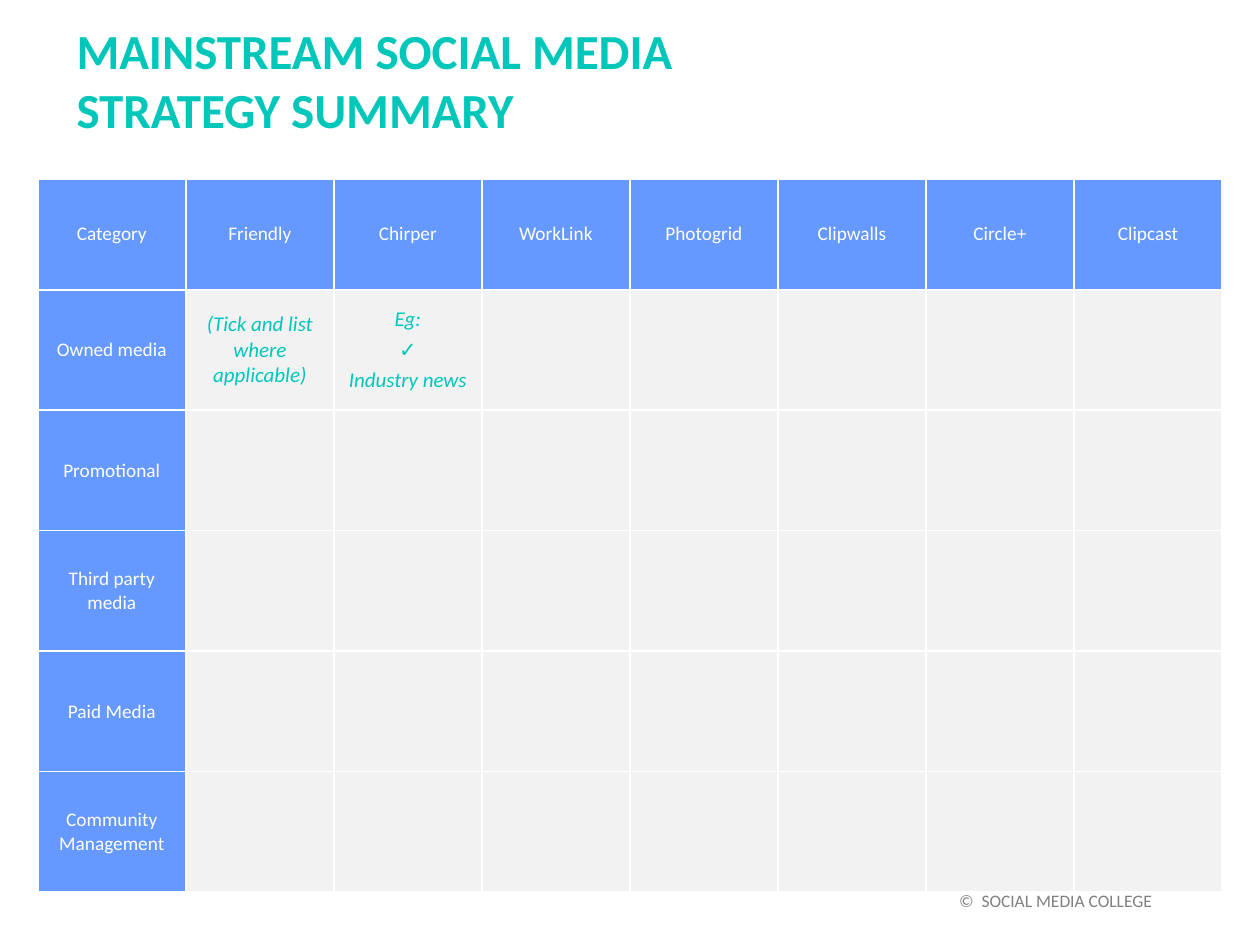
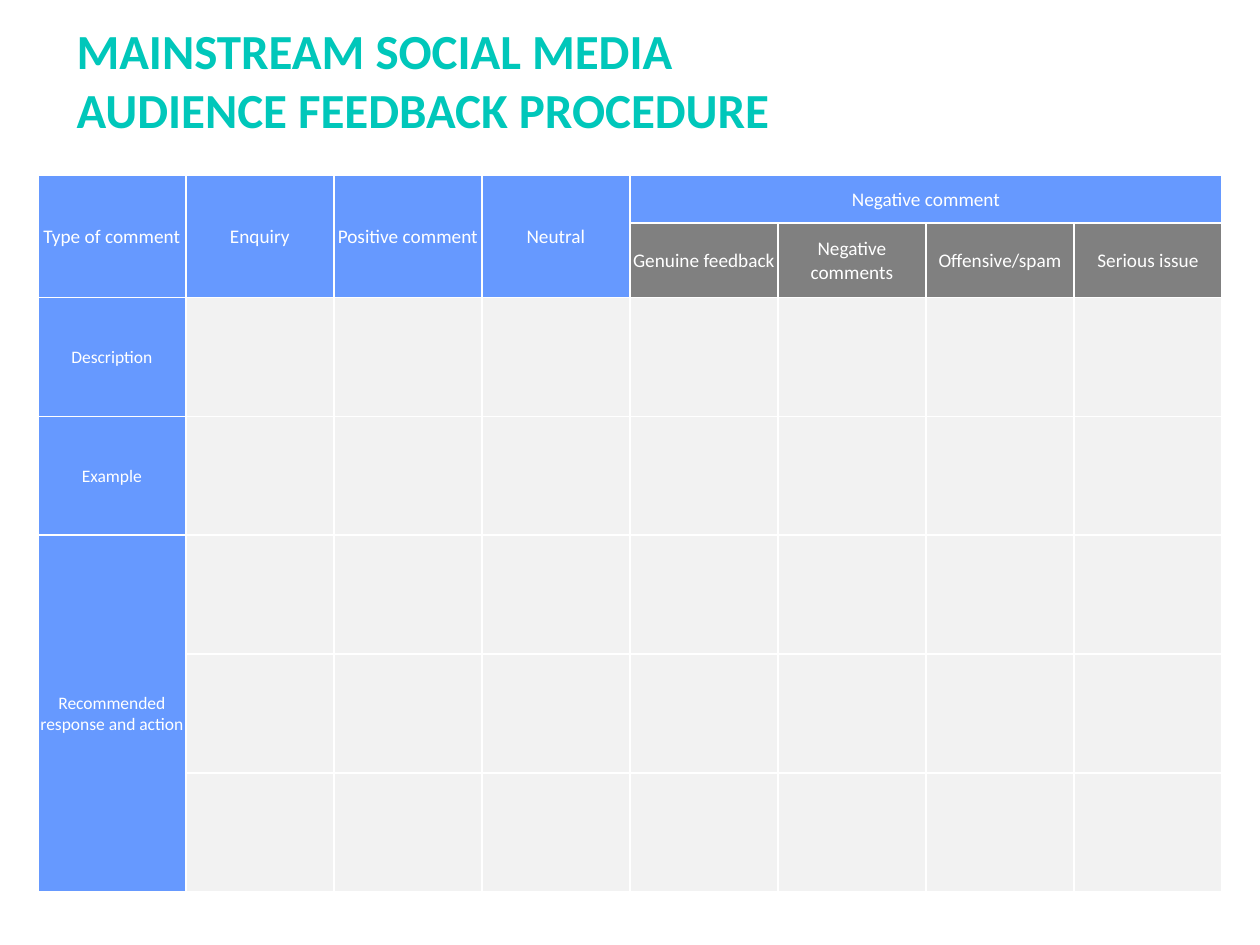
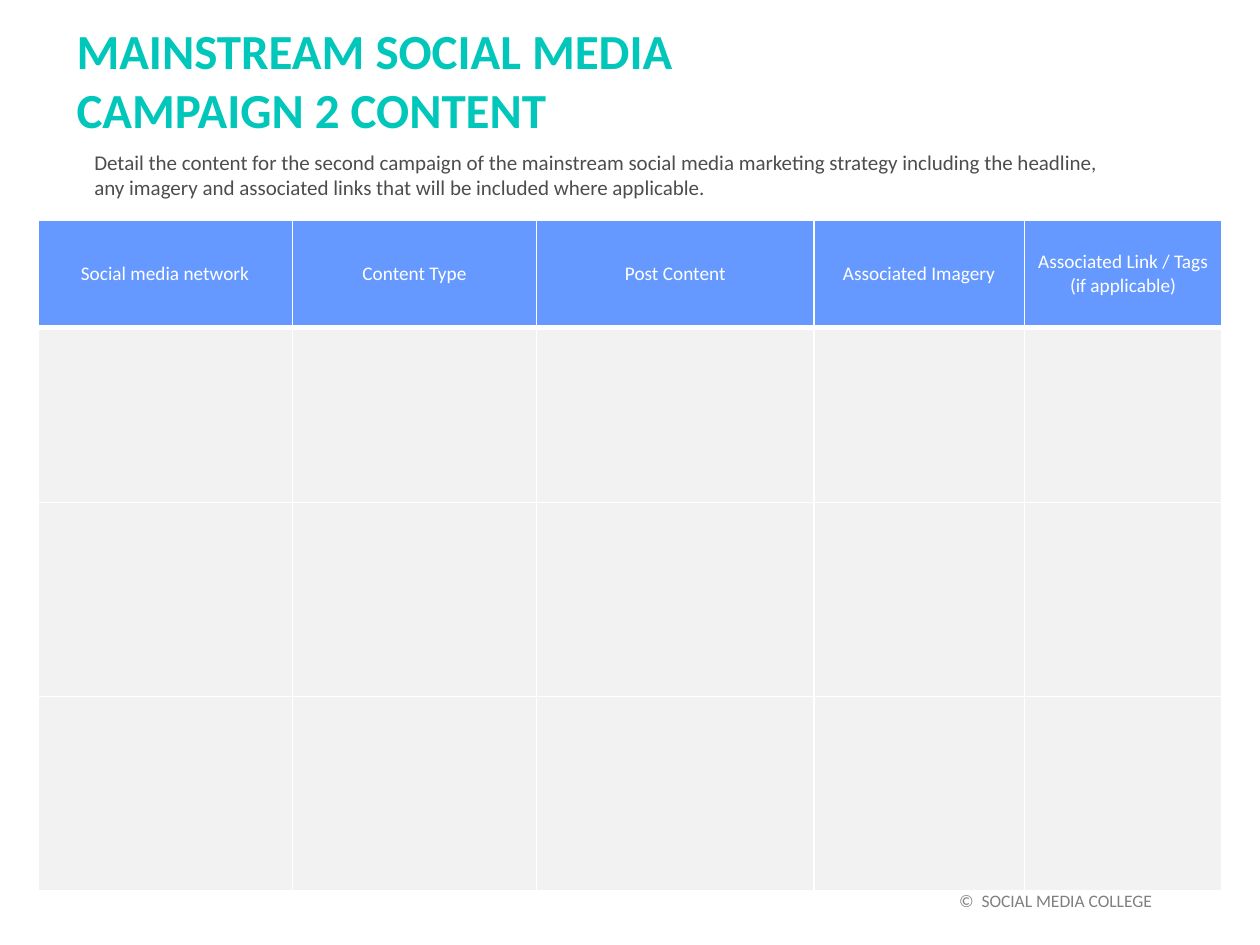
from lxml import etree
from pptx import Presentation
from pptx.dml.color import RGBColor
from pptx.enum.text import MSO_ANCHOR, MSO_AUTO_SIZE, PP_ALIGN
from pptx.oxml.ns import qn
from pptx.util import Inches, Pt

LEFT, CENTER, RIGHT = PP_ALIGN.LEFT, PP_ALIGN.CENTER, PP_ALIGN.RIGHT
TOP, MIDDLE = MSO_ANCHOR.TOP, MSO_ANCHOR.MIDDLE
GROW, FIXED = MSO_AUTO_SIZE.SHAPE_TO_FIT_TEXT, MSO_AUTO_SIZE.NONE

TEAL, BLUE, GREY = "00C7BA", "6699FF", "808080"
PALE, WHITE, INK = "F2F2F2", "FFFFFF", "4C4D4F"

TITLE_TOP_LINE = "MAINSTREAM SOCIAL MEDIA"
COPYRIGHT = "©  SOCIAL MEDIA COLLEGE"
TABLE_LEFT, TABLE_WIDTH = 0.3, 9.4
DEFAULT_MARGINS = (0.1, 0.05, 0.1, 0.05)
NO_MARGINS = (0, 0, 0, 0)
TIGHT_MARGINS = (0.01, 0.01, 0.01, 0)

STRATEGY = {
    "title": "STRATEGY SUMMARY",
    "title_width": 7.86,
    "footer": True,
    "top": 1.42,
    "columns": [TABLE_WIDTH / 8] * 8,
    "rows": [0.88] + [4.78 / 5] * 5,
    "headers": [["Category", "Friendly", "Chirper", "WorkLink",
                 "Photogrid", "Clipwalls", "Circle+", "Clipcast"]],
    "labels": ["Owned media", "Promotional", "Third party media",
               "Paid Media", "Community Management"],
    "examples": {
        (1, 1): ["(Tick and list where applicable)"],
        (1, 2): ["Eg:", ("✓", {"font": "Arial", "italic": False}), "Industry news"],
    },
    "cell_margins": {(0, 2): NO_MARGINS, (1, 2): NO_MARGINS},
}

FEEDBACK = {
    "title": "AUDIENCE FEEDBACK PROCEDURE",
    "title_width": 8.83,
    "top": 1.39,
    "columns": [TABLE_WIDTH / 8] * 8,
    "rows": [0.38, 0.59] + [4.72 / 5] * 5,
    "headers": [
        ["Type of comment", "Enquiry", "Positive comment", "Neutral",
         "Negative comment", "", "", ""],
        ["", "", "", "", "Genuine feedback", "Negative comments",
         "Offensive/spam", "Serious issue"],
    ],
    "labels": ["Description", "Example", "Recommended response and action", "", ""],
    "label_size": 10,
    "margins": TIGHT_MARGINS,
    "merges": [((0, column), (1, column)) for column in range(4)]
              + [((0, 4), (0, 7)), ((4, 0), (6, 0))],
}

CAMPAIGN = {
    "title": "CAMPAIGN 2 CONTENT",
    "title_width": 8.06,
    "footer": True,
    "intro": "Detail the content for the second campaign of the mainstream social media "
             "marketing strategy including the headline, any imagery and associated links "
             "that will be included where applicable.",
    "top": 1.75,
    "columns": [2.02, 1.94, 2.2, 1.67, 1.57],
    "rows": [0.85, 1.39, 1.54, 1.54],
    "headers": [["Social media network", "Content Type", "Post Content",
                 "Associated Imagery", "Associated Link / Tags (if applicable)"]],
    "header_rule": 3,
}


def rgb(value):
    return RGBColor.from_string(value)


def write(frame, lines, size=11, color=WHITE, font="Calibri", bold=False,
          italic=False, align=LEFT, gap=0):
    for index, line in enumerate(lines):
        words, changes = (line, {}) if isinstance(line, str) else line
        paragraph = frame.paragraphs[0] if index == 0 else frame.add_paragraph()
        paragraph.alignment = align
        if index and gap:
            paragraph.space_before = Pt(gap)
        run = paragraph.add_run()
        run.text = words
        run.font.size = Pt(size)
        run.font.name = changes.get("font", font)
        run.font.bold = bold
        run.font.italic = changes.get("italic", italic)
        run.font.color.rgb = rgb(color)


def add_text(slide, box, lines, anchor=MIDDLE, fit=FIXED, **style):
    frame = slide.shapes.add_textbox(*map(Inches, box)).text_frame
    frame.word_wrap = True
    frame.auto_size = fit
    frame.vertical_anchor = anchor
    write(frame, lines, **style)


def set_borders(cell, bottom):
    properties = cell._tc.get_or_add_tcPr()
    for side, width in (("L", 1), ("R", 1), ("T", 1), ("B", bottom)):
        line = etree.SubElement(properties, qn(f"a:ln{side}"), w=str(Pt(width)))
        fill = etree.SubElement(line, qn("a:solidFill"))
        etree.SubElement(fill, qn("a:srgbClr"), val=WHITE)


def cell_content(content, row, column):
    headers, labels = content["headers"], content.get("labels")
    if row < len(headers):
        fill = BLUE if row == 0 or column < 4 else GREY
        return fill, [headers[row][column]], {}
    if labels and column == 0:
        return BLUE, [labels[row - len(headers)]], {"size": content.get("label_size", 11)}
    example = content.get("examples", {}).get((row, column), [])
    return PALE, example, {"size": 12, "color": TEAL, "italic": True, "gap": 3.4}


def add_grid(slide, content):
    rows, columns = content["rows"], content["columns"]
    table = slide.shapes.add_table(
        len(rows), len(columns), Inches(TABLE_LEFT), Inches(content["top"]),
        Inches(TABLE_WIDTH), Inches(sum(rows))).table
    table.first_row = False
    table.horz_banding = False
    for column, width in zip(table.columns, columns):
        column.width = Inches(width)
    for row, height in zip(table.rows, rows):
        row.height = Inches(height)
    for first, last in content.get("merges", []):
        table.cell(*first).merge(table.cell(*last))
    for row in range(len(rows)):
        for column in range(len(columns)):
            cell = table.cell(row, column)
            fill, lines, style = cell_content(content, row, column)
            set_borders(cell, content.get("header_rule", 1) if row == 0 else 1)
            cell.fill.solid()
            cell.fill.fore_color.rgb = rgb(fill)
            cell.vertical_anchor = MIDDLE
            margins = content.get("cell_margins", {}).get(
                (row, column), content.get("margins", DEFAULT_MARGINS))
            (cell.margin_left, cell.margin_top,
             cell.margin_right, cell.margin_bottom) = map(Inches, margins)
            if any(lines):
                write(cell.text_frame, lines, align=CENTER, **style)


def add_page(deck, content):
    slide = deck.slides.add_slide(deck.slide_layouts[6])
    add_text(slide, (0.51, 0.11, content["title_width"], 1.04),
             [TITLE_TOP_LINE, content["title"]], fit=GROW, size=28, color=TEAL, bold=True)
    if content.get("footer"):
        add_text(slide, (0.3, 6.95, 8.94, 0.4), [COPYRIGHT],
                 size=10, color=GREY, align=RIGHT)
    if "intro" in content:
        add_text(slide, (0.65, 1.14, 8.22, 0.5), [content["intro"]],
                 anchor=TOP, fit=GROW, size=12, color=INK)
    add_grid(slide, content)


def main():
    deck = Presentation()
    deck.slide_width, deck.slide_height = Inches(10), Inches(7.5)
    for content in (STRATEGY, FEEDBACK, CAMPAIGN):
        add_page(deck, content)
    deck.save("out.pptx")


if __name__ == "__main__":
    main()
